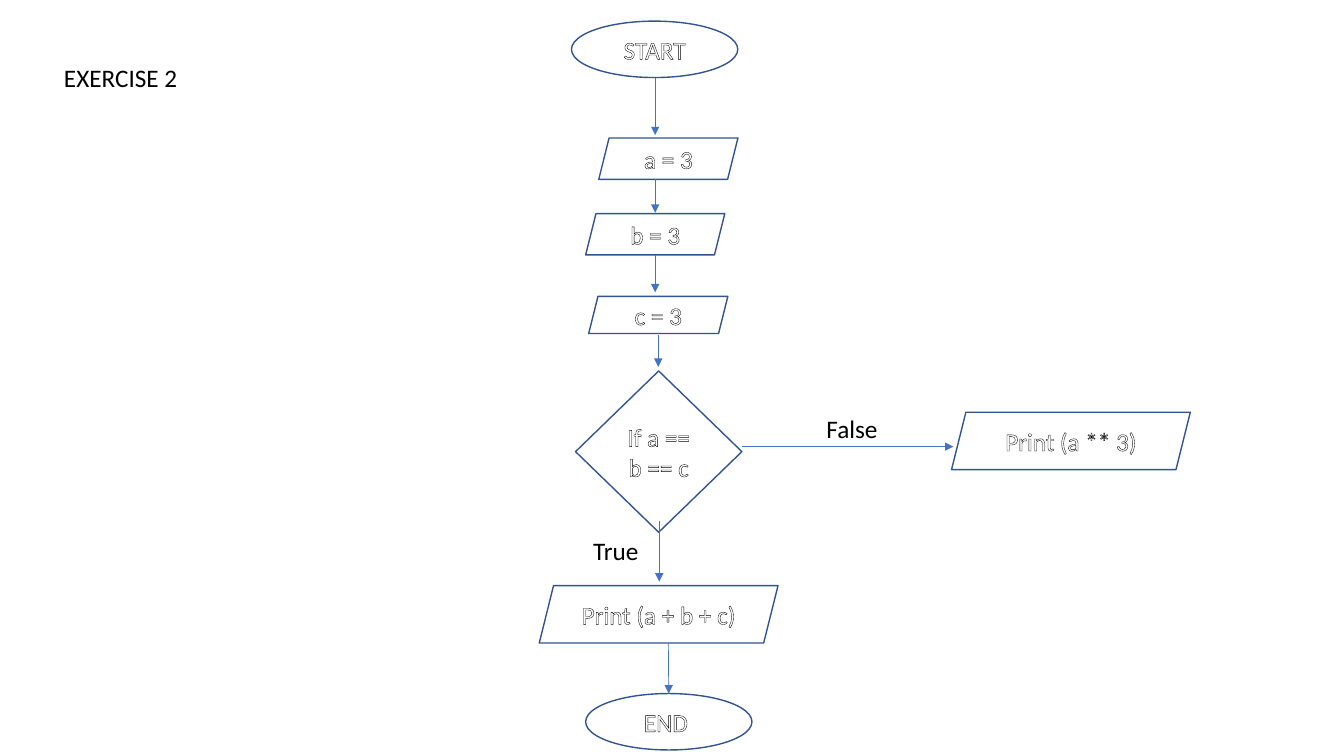
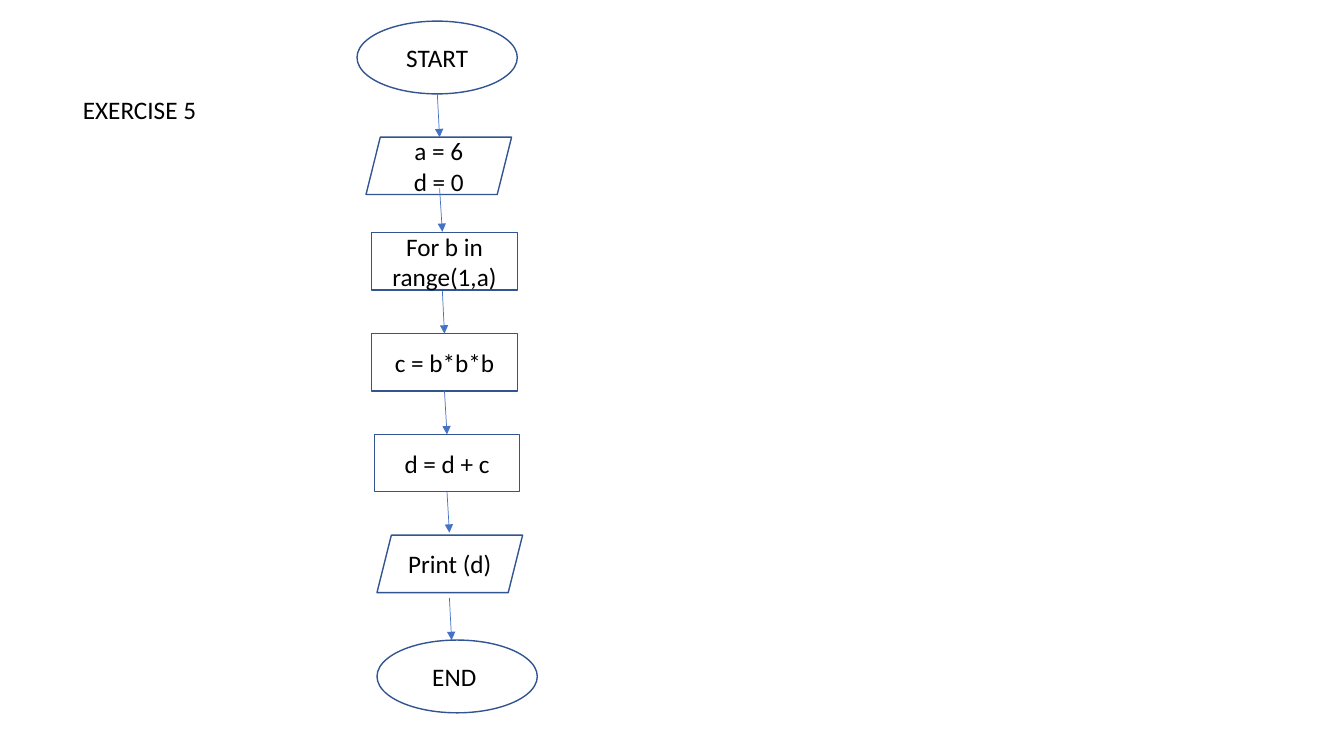
from lxml import etree
from pptx import Presentation
from pptx.dml.color import RGBColor
from pptx.enum.shapes import MSO_CONNECTOR, MSO_SHAPE
from pptx.enum.text import MSO_ANCHOR, PP_ALIGN
from pptx.oxml.ns import qn
from pptx.util import Pt

OVAL = MSO_SHAPE.OVAL
DATA = MSO_SHAPE.PARALLELOGRAM
STEP = MSO_SHAPE.RECTANGLE
DECISION = MSO_SHAPE.DIAMOND
STRAIGHT = MSO_CONNECTOR.STRAIGHT
CENTER, LEFT = PP_ALIGN.CENTER, PP_ALIGN.LEFT
MIDDLE = MSO_ANCHOR.MIDDLE
TOP_SITE, BOTTOM_SITE = 0, 2

WHITE = RGBColor(0xFF, 0xFF, 0xFF)
BLACK = RGBColor(0x00, 0x00, 0x00)
BORDER = RGBColor(0x32, 0x54, 0x91)
ARROW = RGBColor(0x44, 0x72, 0xC4)
FONT, FONT_SIZE = "Calibri", 18
LABEL_HEIGHT = 28.8

SMALL_OVAL, LARGE_OVAL = (118.8, 40.3), (114.5, 52)
ASSIGN, PRINT, BLOCK = (99.4, 29.5), (170.6, 41), (104, 41)

EXERCISES = [
    {
        "title": ("EXERCISE 2", 38.5, 41, 130),
        "text_color": WHITE,
        "outlined": True,
        "nodes": {
            "start": (OVAL, "START", 408.2, 15.1, SMALL_OVAL),
            "a": (DATA, "a = 3", 427.7, 98.6, ASSIGN),
            "b": (DATA, "b = 3", 418.3, 152.6, ASSIGN),
            "c": (DATA, "c = 3", 420.5, 211.7, (99.4, 26.6)),
            "if": (DECISION, "If a == b == c", 411.1, 265, (118.8, 115.2)),
            "cube": (DATA, "Print (a ** 3)", 679.7, 294.5, PRINT),
            "sum": (DATA, "Print (a + b + c)", 385.2, 418.3, PRINT),
            "end": (OVAL, "END ", 418.3, 495.4, SMALL_OVAL),
        },
        "arrows": [
            (468, 55.4, 468, 96.5),
            (468, 128.2, 468, 152),
            (468, 182.2, 468, 208.8),
            (470.2, 239, 470.2, 262),
            (530, 319, 681, 319),
            (470.9, 372.2, 470.9, 415.4),
            (477.4, 459.4, 477.4, 495.4),
        ],
        "joins": {6: (None, "end")},
        "branches": [("False ", 570.6, 291.6, 80), ("True", 399.9, 378.7, 80)],
    },
    {
        "title": ("EXERCISE 5", 52, 63.4, 129),
        "text_color": BLACK,
        "outlined": False,
        "nodes": {
            "start": (OVAL, "START", 255, 15.1, LARGE_OVAL),
            "init": (DATA, "a = 6\nd = 0", 261.4, 98, BLOCK),
            "loop": (STEP, "For b in range(1,a)", 265.5, 166.3, BLOCK),
            "cube": (STEP, "c = b*b*b", 265.5, 238.3, BLOCK),
            "add": (STEP, "d = d + c", 267.3, 310.3, BLOCK),
            "print": (DATA, "Print (d)", 269.3, 382.3, BLOCK),
            "end": (OVAL, "END ", 269.3, 457.2, LARGE_OVAL),
        },
        "arrows": [
            (312.4, 67.2, 314, 98),
            (314, 134.6, 316, 165.6),
            (316, 208, 317.5, 238.3),
            (317.5, 279, 319.3, 310.3),
            (319.3, 350, 321, 380.5),
            (321, 427, 322.6, 457.2),
        ],
        "joins": {2: (None, "cube"), 3: ("cube", "add"), 4: ("add", None)},
        "branches": [],
    },
]


def outline_text(run):
    properties = run._r.get_or_add_rPr()
    line = etree.Element(qn("a:ln"), w=str(Pt(0.75)))
    fill = etree.SubElement(line, qn("a:solidFill"))
    etree.SubElement(fill, qn("a:srgbClr"), val=str(BLACK))
    properties.insert(0, line)


def write(shape, text, color, alignment, outlined):
    frame = shape.text_frame
    frame.word_wrap = True
    frame.vertical_anchor = MIDDLE
    frame.text = text
    for paragraph in frame.paragraphs:
        paragraph.alignment = alignment
        paragraph.line_spacing = 1.0
        font = paragraph.font
        font.name, font.size = FONT, Pt(FONT_SIZE)
        font.color.rgb = color
        if outlined:
            for run in paragraph.runs:
                outline_text(run)


def add_node(slide, node, color, outlined):
    kind, text, left, top, (width, height) = node
    shape = slide.shapes.add_shape(kind, Pt(left), Pt(top), Pt(width), Pt(height))
    shape.shadow.inherit = False
    shape.fill.solid()
    shape.fill.fore_color.rgb = WHITE
    shape.line.color.rgb = BORDER
    shape.line.width = Pt(1)
    write(shape, text, color, CENTER, outlined)
    return shape


def add_arrow(slide, ends, source, target):
    arrow = slide.shapes.add_connector(STRAIGHT, *map(Pt, ends))
    if source is not None:
        arrow.begin_connect(source, BOTTOM_SITE)
    if target is not None:
        arrow.end_connect(target, TOP_SITE)
    arrow.line.color.rgb = ARROW
    arrow.line.width = Pt(0.5)
    etree.SubElement(arrow.line._get_or_add_ln(), qn("a:tailEnd"), type="triangle")
    etree.SubElement(arrow._element.spPr, qn("a:effectLst"))


def add_exercise(deck, exercise):
    slide = deck.slides.add_slide(deck.slide_layouts[5])
    outlined = exercise["outlined"]

    text, left, top, width = exercise["title"]
    title = slide.shapes.title
    title.left, title.top = Pt(left), Pt(top)
    title.width, title.height = Pt(width), Pt(LABEL_HEIGHT)
    write(title, text, BLACK, LEFT, outlined)

    nodes = {
        key: add_node(slide, node, exercise["text_color"], outlined)
        for key, node in exercise["nodes"].items()
    }
    for index, ends in enumerate(exercise["arrows"]):
        source, target = exercise["joins"].get(index, (None, None))
        add_arrow(slide, ends, nodes.get(source), nodes.get(target))

    for text, left, top, width in exercise["branches"]:
        branch = slide.shapes.add_textbox(Pt(left), Pt(top), Pt(width), Pt(LABEL_HEIGHT))
        write(branch, text, BLACK, CENTER, outlined)


def main():
    deck = Presentation()
    deck.slide_width, deck.slide_height = Pt(960), Pt(540)
    for exercise in EXERCISES:
        add_exercise(deck, exercise)
    deck.save("out.pptx")


if __name__ == "__main__":
    main()
